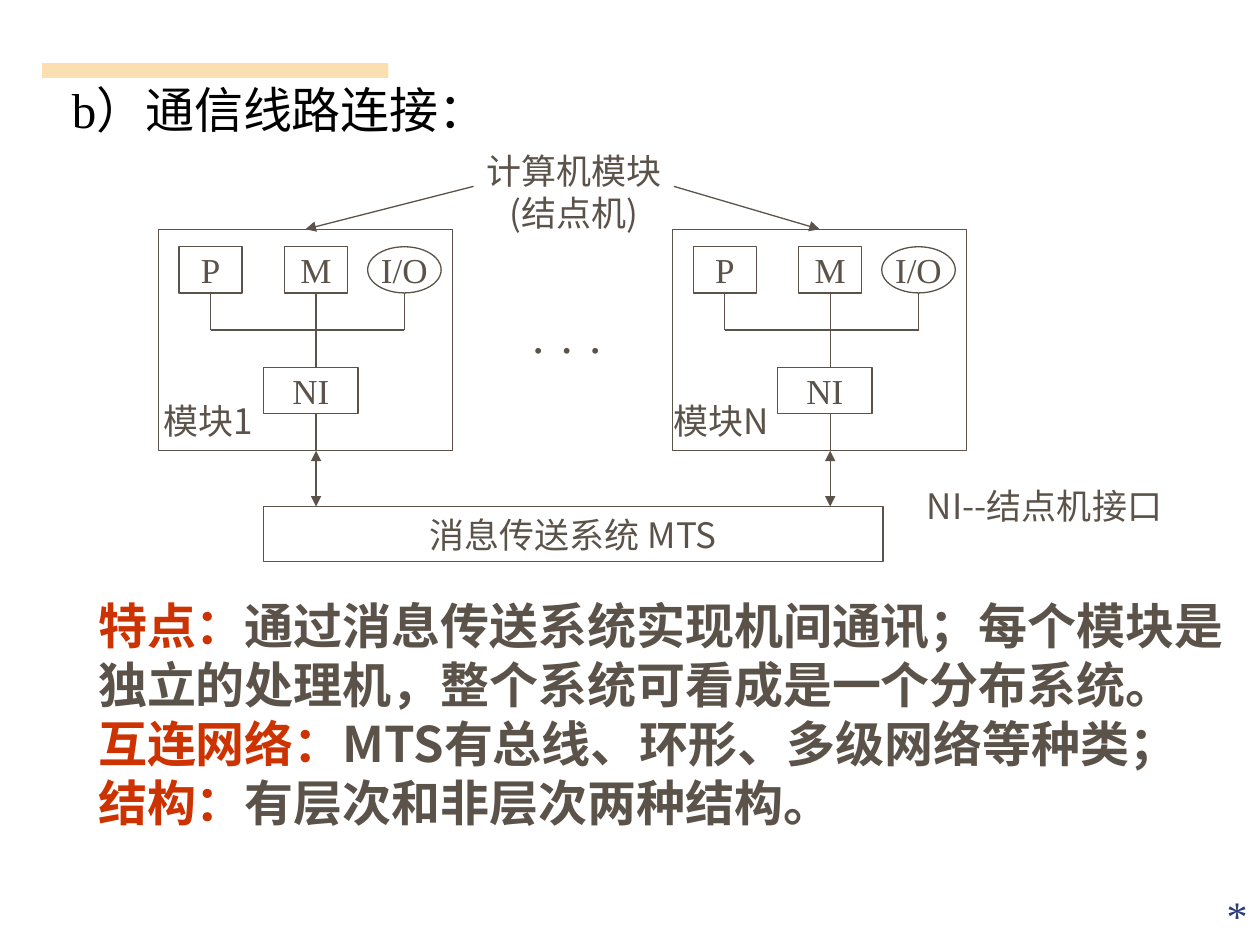
from dataclasses import dataclass

import pptx
import pptx.dml.color
import pptx.enum.shapes
import pptx.enum.text
import pptx.oxml
import pptx.oxml.ns
import pptx.util

Pt = pptx.util.Pt
qn = pptx.oxml.ns.qn
SHAPES = pptx.enum.shapes.MSO_SHAPE
ALIGN = pptx.enum.text.PP_ALIGN
ANCHOR = pptx.enum.text.MSO_ANCHOR
AUTO_SIZE = pptx.enum.text.MSO_AUTO_SIZE


@dataclass(frozen=True)
class Theme:
    ink: str = "5B5249"
    title: str = "000000"
    key: str = "CC3300"
    accent: str = "FAC164"
    star: str = "2A3D7A"
    serif: str = "Times New Roman"
    sans: str = "Noto Sans CJK SC"
    large: int = 28
    medium: int = 24
    small: int = 20
    line: float = 0.75
    leading: float = 1.2


THEME = Theme()


def rgb(color):
    return pptx.dml.color.RGBColor.from_string(color)


def write(shape, paragraphs, *, size=THEME.small, font=THEME.sans, color=THEME.ink,
          bold=False, align=ALIGN.LEFT, anchor=ANCHOR.TOP, wrap=False, grow=False):
    """Fill a shape; each paragraph is a list of (text, run overrides)."""
    if isinstance(paragraphs, str):
        paragraphs = [[(paragraphs, {})]]
    frame = shape.text_frame
    frame.word_wrap = wrap
    frame.vertical_anchor = anchor
    frame.auto_size = AUTO_SIZE.SHAPE_TO_FIT_TEXT if grow else AUTO_SIZE.NONE
    for index, runs in enumerate(paragraphs):
        paragraph = frame.add_paragraph() if index else frame.paragraphs[0]
        paragraph.alignment = align
        paragraph.line_spacing = Pt(size * THEME.leading)
        for text, override in runs:
            run = paragraph.add_run()
            run.text = text
            run.font.size = Pt(size)
            run.font.bold = bold
            run.font.name = override.get("font", font)
            run.font.color.rgb = rgb(override.get("color", color))
            east_asian = pptx.oxml.parse_xml(
                '<a:ea xmlns:a="http://schemas.openxmlformats.org/drawingml/2006/main"'
                f' typeface="{THEME.sans}"/>')
            run.font._element.find(qn("a:latin")).addnext(east_asian)


def add_label(slide, box, text, **text_format):
    label = slide.shapes.add_textbox(*map(Pt, box))
    write(label, text, **text_format)


def add_node(slide, box, text="", kind=SHAPES.RECTANGLE, **text_format):
    node = slide.shapes.add_shape(kind, *map(Pt, box))
    node.shadow.inherit = False
    node.fill.background()
    node.line.color.rgb = rgb(THEME.ink)
    node.line.width = Pt(THEME.line)
    if text:
        write(node, text, align=ALIGN.CENTER, anchor=ANCHOR.MIDDLE, **text_format)
    return node


def add_line(slide, start, end, arrows=()):
    """Draw a line; arrows names its arrowed ends, headEnd before tailEnd."""
    line = slide.shapes.add_connector(
        pptx.enum.shapes.MSO_CONNECTOR.STRAIGHT, *map(Pt, (*start, *end)))
    line.line.color.rgb = rgb(THEME.ink)
    line.line.width = Pt(THEME.line)
    outline = line.line._get_or_add_ln()
    for arrow in arrows:
        outline.append(outline.makeelement(qn(f"a:{arrow}"), {"type": "triangle"}))
    properties = line._element.spPr
    properties.append(properties.makeelement(qn("a:effectLst"), {}))
    return line


def add_header(slide, box):
    left, top, width, height = box
    bar = slide.shapes.add_shape(SHAPES.RECTANGLE, *map(Pt, (left - 10, top - 5.8, 198, 8.6)))
    bar.shadow.inherit = False
    bar.fill.solid()
    bar.fill.fore_color.rgb = rgb(THEME.accent)
    color = bar.fill._xPr.find(qn("a:solidFill"))[0]
    color.append(color.makeelement(qn("a:alpha"), {"val": "50000"}))
    bar.line.fill.background()
    add_label(slide, box, "b）通信线路连接：", size=THEME.large, font=THEME.serif,
              color=THEME.title, wrap=True, grow=True)


def add_module(slide, box, name, name_box, system_top):
    """Draw a computer module and its link down to the message system."""
    left, top, width, height = box
    part_height, part_top = 26.4, top + 10
    part_bottom, bus, interface_top = part_top + part_height, top + 57.6, top + 79
    axis = left + 90
    module = add_node(slide, box)
    parts = (("P", 11.8, 36, SHAPES.RECTANGLE),
             ("M", 72, 36, SHAPES.RECTANGLE),
             ("I/O", 119.5, 42, SHAPES.OVAL))
    for text, offset, part_width, kind in parts:
        part = add_node(slide, (left + offset, part_top, part_width, part_height),
                        text, kind, font=THEME.serif)
        middle = left + offset + part_width / 2
        end = interface_top if text == "M" else bus
        drop = add_line(slide, (middle, part_bottom), (middle, end))
        if kind == SHAPES.RECTANGLE:
            drop.begin_connect(part, 2)
    add_line(slide, (left + 29.8, bus), (left + 140.5, bus))
    add_node(slide, (left + 60, interface_top, 54, part_height), "NI", font=THEME.serif)
    bottom = top + height
    add_line(slide, (axis, interface_top + part_height), (axis, bottom))
    add_line(slide, (axis, bottom), (axis, system_top), ("headEnd", "tailEnd"))
    add_label(slide, name_box, name, grow=True)
    return module


def add_network(slide, box):
    left, top, width, height = box
    module_top, module_width, module_height = top + 49, 168, 126.6
    system_top = top + 207.4
    add_node(slide, (left + 60, system_top, 354, 31.6), "消息传送系统 MTS")
    modules = (("模块1", 0, -4.3, 70.6), ("模块N", 293.8, -6.5, 74.2))
    callers = ((left + 180, top + 24.5), (left + 294.5, top + 24.5))
    for (name, offset, name_offset, name_width), caller in zip(modules, callers):
        x = left + offset
        module = add_module(slide, (x, module_top, module_width, module_height), name,
                            (x + name_offset, module_top + 93.6, name_width, 31.7),
                            system_top)
        pointer = add_line(slide, caller, (x + module_width / 2, module_top), ("tailEnd",))
        pointer.end_connect(module, 0)
    add_label(slide, (left + 180, top, 114.5, 55.4),
              [[("计算机模块", {})], [("(结点机)", {})]], align=ALIGN.CENTER, grow=True)
    add_label(slide, (left + 205.2, top + 96.5, 56.2, 41), "· · ·",
              size=THEME.large, font=THEME.serif, grow=True)
    add_label(slide, (left + 432, top + 191.5, 154, 31.7),
              [[("NI--", {}), ("结点机接口", {"font": THEME.serif})]], grow=True)


def add_summary(slide, box):
    points = (
        ("特点：", "通过消息传送系统实现机间通讯；每个模块是独立的处理机，整个系统可看成是一个分布系统。"),
        ("互连网络：", "MTS有总线、环形、多级网络等种类；"),
        ("结构：", "有层次和非层次两种结构。"))
    add_label(slide, box, [[(key, {"color": THEME.key}), (text, {})] for key, text in points],
              size=THEME.large, bold=True, wrap=True, grow=True)


def main():
    deck = pptx.Presentation()
    deck.slide_width, deck.slide_height = Pt(720), Pt(540)
    slide = deck.slides.add_slide(deck.slide_layouts[6])
    add_header(slide, (34, 41.8, 684, 41))
    add_network(slide, (90.6, 82, 586, 239))
    add_summary(slide, (49, 337, 668, 141.8))
    add_label(slide, (648, 504.7, 72, 36), "*", size=THEME.medium, font=THEME.serif,
              color=THEME.star, align=ALIGN.RIGHT, anchor=ANCHOR.BOTTOM, wrap=True)
    deck.save("out.pptx")


if __name__ == "__main__":
    main()
